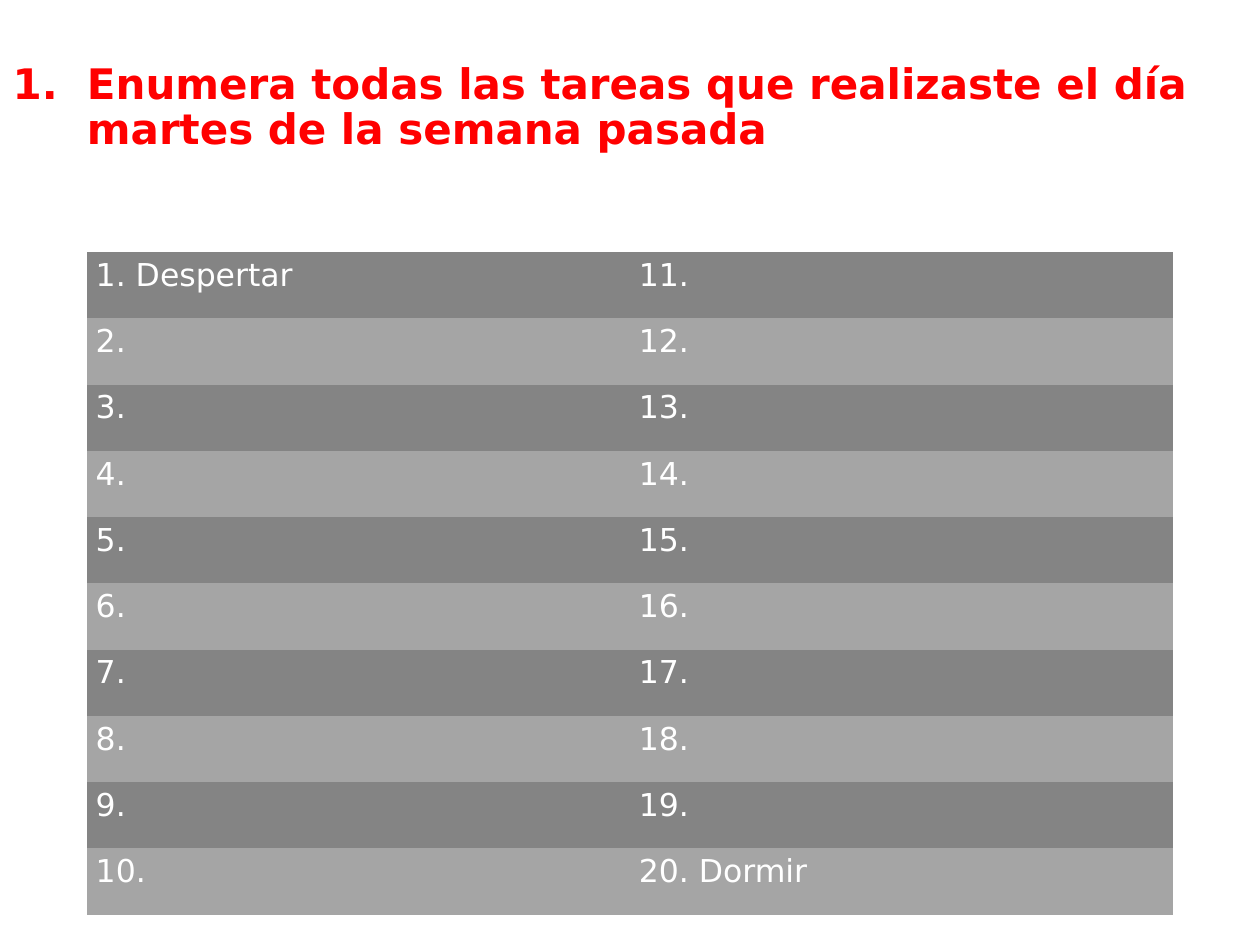
import lxml.etree
import pptx
import pptx.dml.color
import pptx.enum.text
import pptx.oxml.ns
import pptx.util

COLORS = {"title": "FF0000", "text": "FFFFFF", "dark": "848484", "light": "A5A5A5"}
NO_GRID_STYLE = "{2D5ABB26-0587-4C30-8999-92F81FD0307C}"
TASK_COUNT = 20
KNOWN_TASKS = {1: "Despertar", 20: "Dormir"}


class TaskSlide:
    """Hold the style and the current slide, placing elements by shares of its size."""

    font = "DejaVu Sans"

    def __init__(self, presentation):
        self.width = presentation.slide_width
        self.height = presentation.slide_height
        self.slide = presentation.slides.add_slide(presentation.slide_layouts[5])

    def box(self, left, top, width, height):
        return (int(self.width * left), int(self.height * top),
                int(self.width * width), int(self.height * height))

    def color(self, name):
        return pptx.dml.color.RGBColor.from_string(COLORS[name])

    def add_run(self, paragraph, text, size, color, bold=False):
        run = paragraph.add_run()
        run.text = text
        run.font.name = self.font
        run.font.size = pptx.util.Pt(size)
        run.font.bold = bold
        run.font.color.rgb = self.color(color)

    def add_title(self, text, box, indent):
        title = self.slide.shapes.title
        title.left, title.top, title.width, title.height = self.box(*box)
        frame = title.text_frame
        frame.word_wrap = True
        frame.auto_size = pptx.enum.text.MSO_AUTO_SIZE.NONE
        frame.vertical_anchor = pptx.enum.text.MSO_ANCHOR.MIDDLE
        paragraph = frame.paragraphs[0]
        paragraph.alignment = pptx.enum.text.PP_ALIGN.LEFT
        paragraph.line_spacing = 0.9
        self.add_run(paragraph, text, 24, "title", bold=True)
        properties = paragraph._p.get_or_add_pPr()
        margin = int(self.width * indent)
        properties.set("marL", str(margin))
        properties.set("indent", str(-margin))
        bullet = lxml.etree.SubElement(properties, pptx.oxml.ns.qn("a:buAutoNum"))
        bullet.set("type", "arabicPeriod")

    def add_task_table(self, tasks, columns, box):
        rows = len(tasks) // columns
        frame = self.slide.shapes.add_table(rows, columns, *self.box(*box))
        table = frame.table
        table.first_row = table.horz_banding = False
        style = table._tbl.tblPr.find(pptx.oxml.ns.qn("a:tableStyleId"))
        style.text = NO_GRID_STYLE
        for index, task in enumerate(tasks):
            column, row = divmod(index, rows)
            cell = table.cell(row, column)
            cell.margin_left = cell.margin_right = pptx.util.Inches(0.07)
            cell.margin_top = cell.margin_bottom = pptx.util.Inches(0.04)
            cell.fill.solid()
            cell.fill.fore_color.rgb = self.color("light" if row % 2 else "dark")
            self.add_run(cell.text_frame.paragraphs[0], task, 18, "text")


def main():
    presentation = pptx.Presentation()
    presentation.slide_width = pptx.util.Inches(10)
    presentation.slide_height = pptx.util.Inches(7.5)
    page = TaskSlide(presentation)
    page.add_title(
        "Enumera todas las tareas que realizaste el día martes de la semana pasada",
        box=(0, 0.18 / 7.5, 0.98, 1.36 / 7.5), indent=0.059)
    tasks = [f"{number}. {KNOWN_TASKS.get(number, '')}".strip()
             for number in range(1, TASK_COUNT + 1)]
    page.add_task_table(tasks, columns=2, box=(0.069, 2 / 7.5, 0.862, 5.26 / 7.5))
    presentation.save("out.pptx")


if __name__ == "__main__":
    main()
